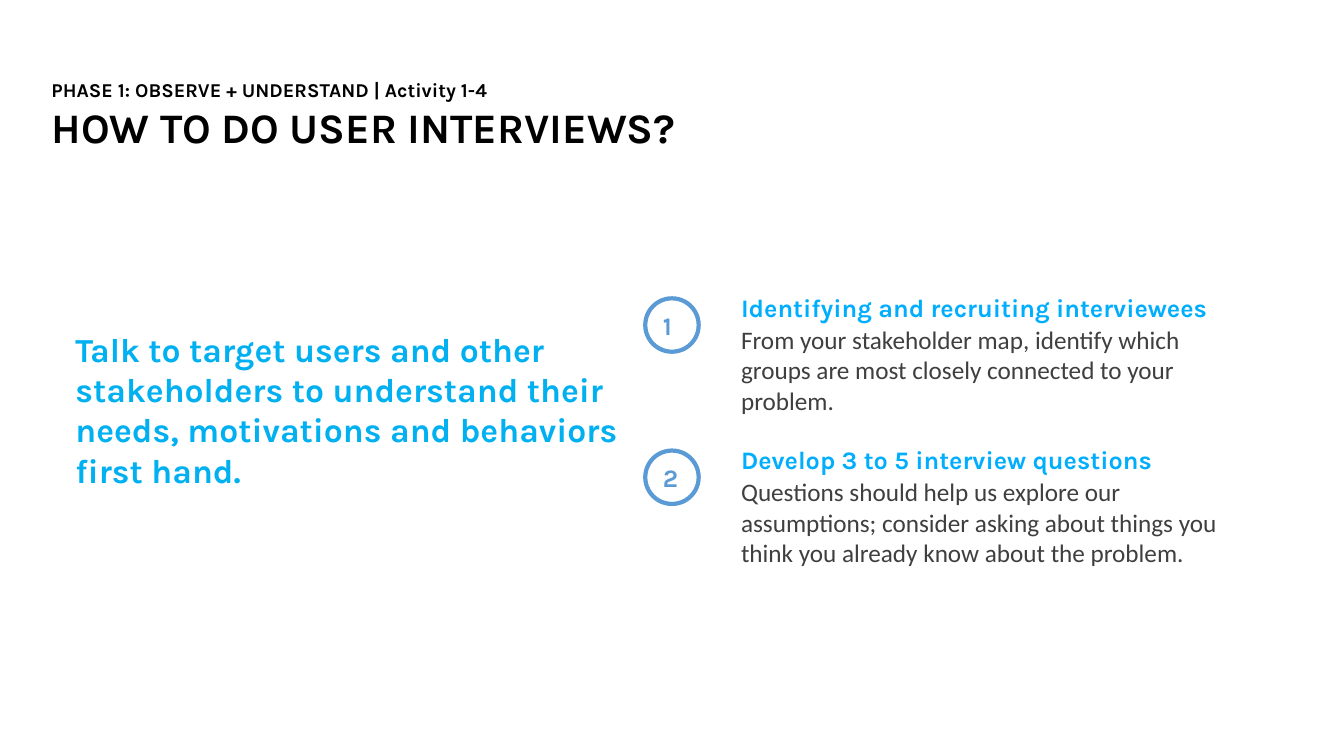
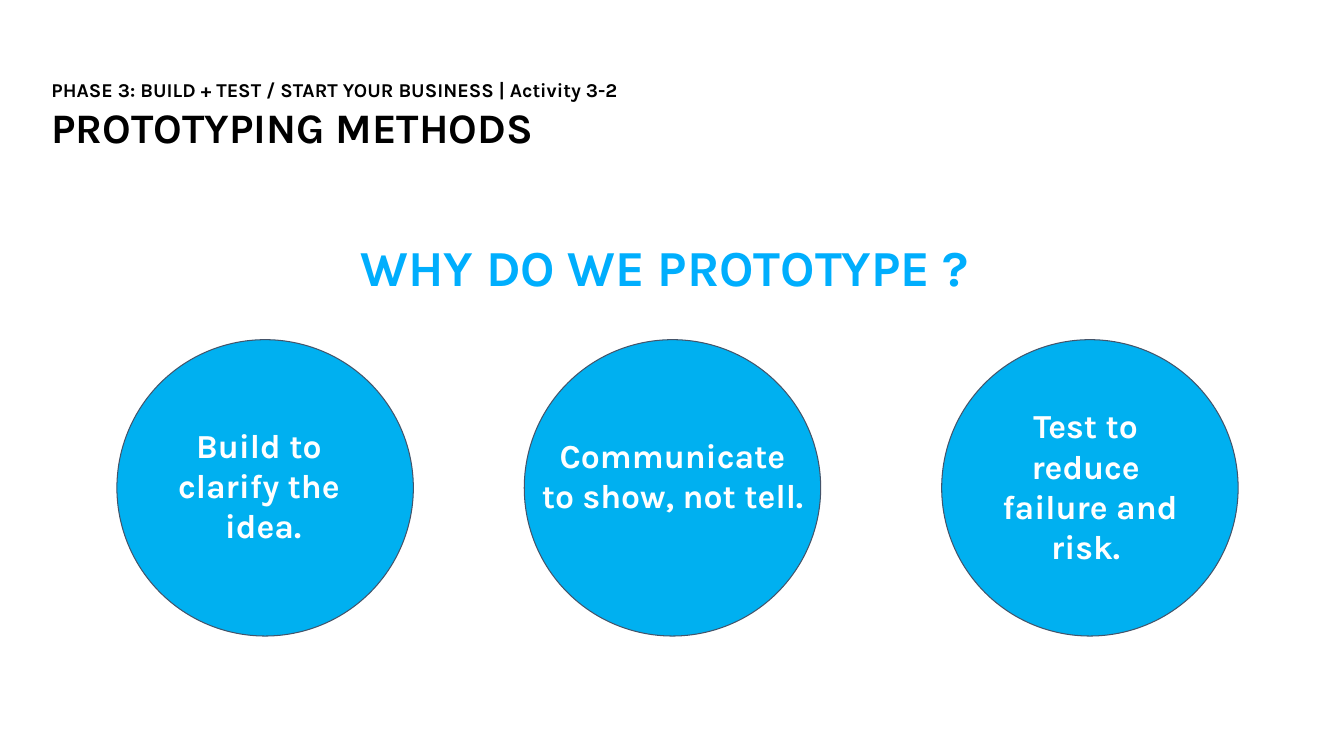
from pptx import Presentation
from pptx.dml.color import RGBColor
from pptx.enum.shapes import MSO_SHAPE
from pptx.enum.text import MSO_ANCHOR, MSO_AUTO_SIZE, PP_ALIGN
from pptx.util import Emu, Pt

EMU_PER_PX = 9144
BLACK, WHITE, GRAY = "000000", "FFFFFF", "3F3F3F"
HEADING_BLUE, FILL_BLUE = "00AEFD", "00B0F0"
BADGE_BLUE, CIRCLE_LINE = "5B9BD5", "44546A"
DISPLAY_FONT, BODY_FONT = "Karla", "Calibri"
TITLE_BOX = (41, 72, 1003, 88)


def px(length):
    """Turn a length in px into EMU."""
    return Emu(length * EMU_PER_PX)


def color(value):
    """Turn a hex string into a colour."""
    return RGBColor.from_string(value)


def write(shape, lines, insets=(10, 5), align=PP_ALIGN.LEFT, anchor=MSO_ANCHOR.TOP):
    """Fill a shape with one paragraph for each (text, size, colour, font)."""
    frame = shape.text_frame
    frame.word_wrap = True
    frame.auto_size = MSO_AUTO_SIZE.NONE
    frame.vertical_anchor = anchor
    frame.margin_left = frame.margin_right = px(insets[0])
    frame.margin_top = frame.margin_bottom = px(insets[1])
    for index, (text, size, text_color, font) in enumerate(lines):
        paragraph = frame.add_paragraph() if index else frame.paragraphs[0]
        paragraph.alignment = align
        run = paragraph.add_run()
        run.text = text
        run.font.name = font
        run.font.size = Pt(size)
        run.font.bold = font == DISPLAY_FONT
        run.font.color.rgb = color(text_color)


def add_text(slide, box, lines, **style):
    """Add a text box at the given box."""
    write(slide.shapes.add_textbox(*map(px, box)), lines, **style)


def add_circle(slide, left, top, size, fill, line, line_width):
    """Add a filled, outlined circle."""
    circle = slide.shapes.add_shape(MSO_SHAPE.OVAL, *map(px, (left, top, size, size)))
    circle.shadow.inherit = False
    circle.fill.solid()
    circle.fill.fore_color.rgb = color(fill)
    circle.line.color.rgb = color(line)
    circle.line.width = Pt(line_width)
    return circle


def add_titled_slide(presentation, phase, title):
    """Add a slide with the phase line and title in its title placeholder."""
    slide = presentation.slides.add_slide(presentation.slide_layouts[5])
    placeholder = slide.shapes.title
    placeholder.left, placeholder.top, placeholder.width, placeholder.height = map(px, TITLE_BOX)
    write(placeholder, [(phase, 14, BLACK, DISPLAY_FONT), (title, 30, BLACK, DISPLAY_FONT)])
    return slide


def add_step(slide, left, top, number, heading, body):
    """Add a numbered badge with a heading and a body to its right."""
    badge = add_circle(slide, left, top + 11, 53, WHITE, BADGE_BLUE, 3)
    write(badge, [(number, 18, BADGE_BLUE, DISPLAY_FONT)],
          insets=(10, 10), anchor=MSO_ANCHOR.MIDDLE)
    add_text(slide, (left + 90, top, 536, 42),
             [(heading, 18, HEADING_BLUE, DISPLAY_FONT)], insets=(5, 5))
    add_text(slide, (left + 90, top + 32, 488, 42),
             [(body, 18, GRAY, BODY_FONT)], insets=(5, 5))


def add_reason(slide, left, top, shift, lines):
    """Add a large circle with a centred label moved by the given shift."""
    size, label_size = 294, 328
    add_circle(slide, left, top, size, FILL_BLUE, CIRCLE_LINE, 0.75)
    margin = (label_size - size) // 2
    box = (left - margin + shift[0], top - margin + shift[1], label_size, label_size)
    add_text(slide, box, [(line, 24, WHITE, DISPLAY_FONT) for line in lines],
             insets=(10, 10), align=PP_ALIGN.CENTER, anchor=MSO_ANCHOR.MIDDLE)


def build_interviews(presentation):
    """Build the slide on user interviews."""
    slide = add_titled_slide(presentation, "PHASE 1: OBSERVE + UNDERSTAND | Activity 1-4",
                             "HOW TO DO USER INTERVIEWS?")
    goal = ("Talk to target users and other stakeholders to understand their needs, "
            "motivations and behaviors first hand.")
    add_text(slide, (65, 321, 602, 170), [(goal, 24, FILL_BLUE, DISPLAY_FONT)])
    steps = [
        ("Identifying and recruiting interviewees",
         "From your stakeholder map, identify which groups are most closely "
         "connected to your problem."),
        ("Develop 3 to 5 interview questions",
         "Questions should help us explore our assumptions; consider asking about "
         "things you think you already know about the problem."),
    ]
    for index, (heading, body) in enumerate(steps):
        add_step(slide, 640, 285 + 151 * index, str(index + 1), heading, body)


def build_prototyping(presentation):
    """Build the slide on reasons to prototype."""
    slide = add_titled_slide(presentation,
                             "PHASE 3: BUILD + TEST / START YOUR BUSINESS | Activity 3-2",
                             "PROTOTYPING METHODS")
    add_text(slide, (253, 204, 826, 121),
             [("WHY DO WE PROTOTYPE ? ", 36, HEADING_BLUE, DISPLAY_FONT)],
             insets=(10, 10), align=PP_ALIGN.CENTER, anchor=MSO_ANCHOR.MIDDLE)
    reasons = [
        (116, (-2, -3), ["Build to ", "clarify the ", "idea."]),
        (520, (0, -13), ["Communicate", "to show, not tell."]),
        (934, (0, -2), ["Test to ", "reduce ", "failure and", "risk. "]),
    ]
    for left, shift, lines in reasons:
        add_reason(slide, left, 337, shift, lines)


def main():
    """Build and save the presentation."""
    presentation = Presentation()
    presentation.slide_width, presentation.slide_height = px(1333), px(750)
    build_interviews(presentation)
    build_prototyping(presentation)
    presentation.save("out.pptx")


if __name__ == "__main__":
    main()
